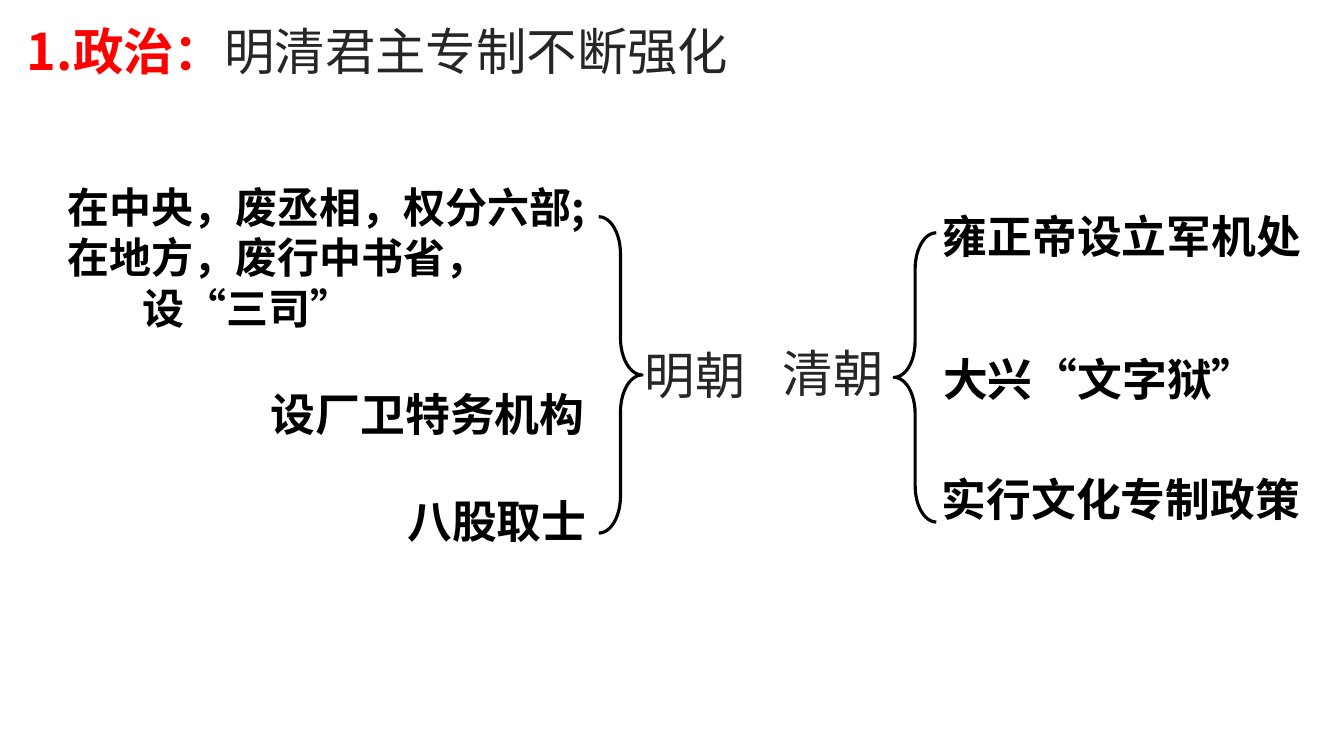
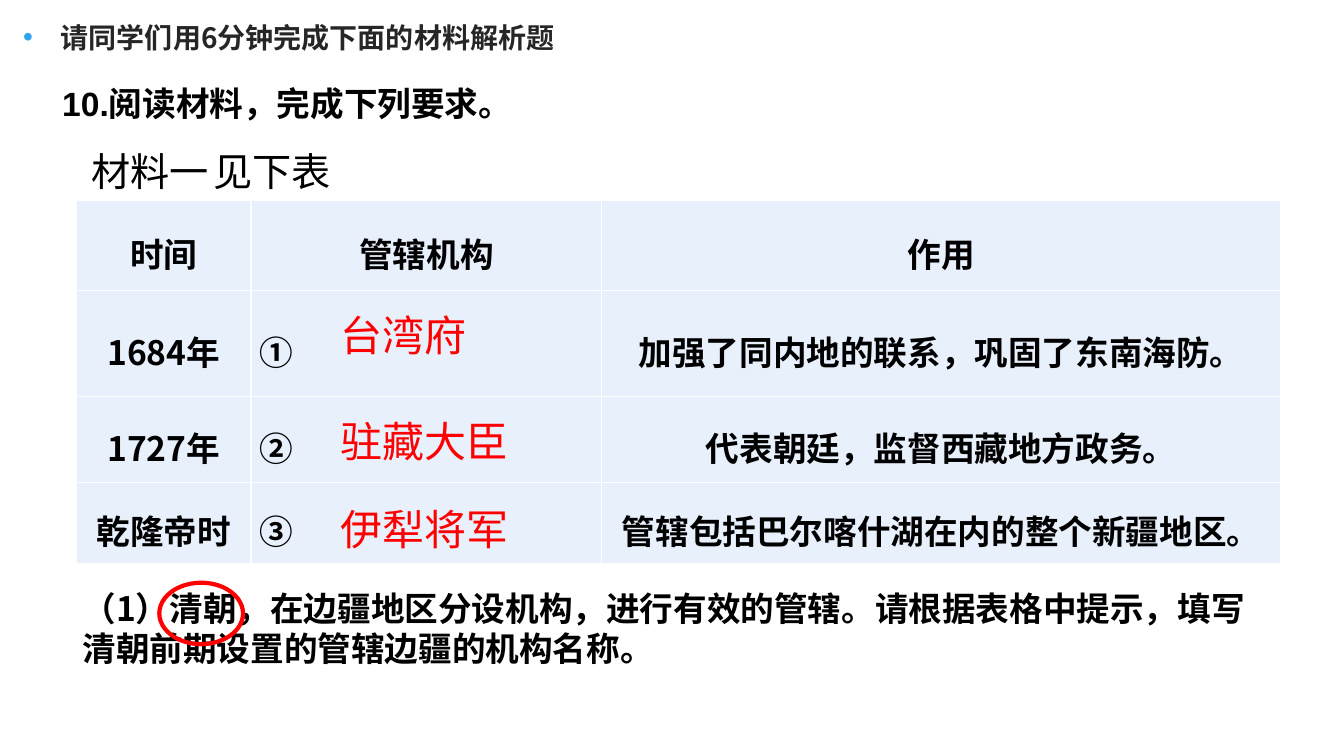
from lxml.etree import SubElement
from pptx import Presentation
from pptx.dml.color import RGBColor
from pptx.enum.shapes import MSO_SHAPE
from pptx.enum.text import MSO_ANCHOR, PP_ALIGN
from pptx.oxml.ns import qn
from pptx.util import Pt

COLORS = {
    "black": "000000",
    "dark": "262626",
    "red": "FF0000",
    "bullet": "2FA3EE",
    "cell": "E8F0FC",
    "border": "FFFFFF",
}
FONT = "Noto Sans CJK SC"


def add_span(para, text, size, color="black", bold=False, font=FONT):
    span = para.add_run()
    span.text = text
    span.font.size = Pt(size)
    span.font.bold = bold
    span.font.name = font
    span.font.color.rgb = RGBColor.from_string(COLORS[color])
    SubElement(span.font._element, qn("a:ea"), typeface=FONT)


def add_box(page, left, top, width, height, align=PP_ALIGN.LEFT):
    box = page.shapes.add_textbox(Pt(left), Pt(top), Pt(width), Pt(height))
    box.text_frame.word_wrap = True
    para = box.text_frame.paragraphs[0]
    para.alignment = align
    return para, box.text_frame


deck = Presentation()
deck.slide_width, deck.slide_height = Pt(960), Pt(540)
politics, exercise = [deck.slides.add_slide(deck.slide_layouts[6]) for _ in range(2)]

para, _ = add_box(politics, 12.2, 10.8, 546.5, 51)
add_span(para, "1.政治：", 36, "red", True)
add_span(para, "明清君主专制不断强化", 36, "dark")

for left, top, dynasty in [(453.6, 242.6, "明朝"), (552.2, 240.5, "清朝")]:
    para, _ = add_box(politics, left, top, 94, 51)
    add_span(para, dynasty, 36, "dark")

measures = [
    (622, 145.4, 314.7, "雍正帝设立军机处"),
    (581, 247.7, 324, "大兴“文字狱”"),
    (638.6, 333.4, 297.4, "实行文化专制政策"),
    (100.8, 272.9, 324, "设厂卫特务机构"),
    (154.8, 349.2, 271.4, "八股取士"),
]
for left, top, width, measure in measures:
    para, _ = add_box(politics, left, top, width, 46, PP_ALIGN.RIGHT)
    add_span(para, measure, 32, bold=True)

para, frame = add_box(politics, 41, 126, 378, 116.6)
add_span(para, "在中央，废丞相，权分六部;", 30, bold=True)
add_span(frame.add_paragraph(), "在地方，废行中书省，", 30, bold=True)
para = frame.add_paragraph()
para._p.get_or_add_pPr().set("marL", str(Pt(54)))
add_span(para, "设“三司”", 30, bold=True)

rows = [
    ("时间", "管辖机构", "作用"),
    ("1684年", "①", "加强了同内地的联系，巩固了东南海防。"),
    ("1727年", "②", "代表朝廷，监督西藏地方政务。"),
    ("乾隆帝时", "③", "管辖包括巴尔喀什湖在内的整个新疆地区。"),
]
widths = [124.6, 250.6, 484.6]
heights = [64.1, 75.6, 61.9, 57.6]
table = exercise.shapes.add_table(
    len(rows), len(widths), Pt(54.7), Pt(143.3), Pt(sum(widths)), Pt(sum(heights))
).table
for column, width in zip(table.columns, widths):
    column.width = Pt(width)
for row, height, texts in zip(table.rows, heights, rows):
    row.height = Pt(height)
    for cell, text in zip(row.cells, texts):
        cell.vertical_anchor = MSO_ANCHOR.MIDDLE
        cell.margin_left = cell.margin_right = Pt(5.76)
        cell.margin_top = cell.margin_bottom = 0
        for side in ("a:lnL", "a:lnR", "a:lnT", "a:lnB"):
            border = SubElement(cell._tc.get_or_add_tcPr(), qn(side), w=str(Pt(1)))
            fill = SubElement(border, qn("a:solidFill"))
            SubElement(fill, qn("a:srgbClr"), val=COLORS["border"])
        cell.fill.solid()
        cell.fill.fore_color.rgb = RGBColor.from_string(COLORS["cell"])
        para = cell.text_frame.paragraphs[0]
        para.alignment = PP_ALIGN.LEFT if text in "①②③" else PP_ALIGN.CENTER
        para.line_spacing = 1.3
        add_span(para, text, 24, bold=True)

para, _ = add_box(exercise, 37.4, 91.4, 233.3, 51)
para.line_spacing = 1.3
properties = para._p.get_or_add_pPr()
properties.set("indent", str(Pt(21)))
tabs = SubElement(properties, qn("a:tabLst"))
SubElement(tabs, qn("a:tab"), pos=str(Pt(117.5)), algn="l")
add_span(para, "材料一\t", 28)
add_span(para, "见下表", 28, font="Calibri")

para, _ = add_box(exercise, 51.8, 416.2, 865.4, 65.5)
question = "（1）清朝，在边疆地区分设机构，进行有效的管辖。请根据表格中提示，填写清朝前期设置的管辖边疆的机构名称。"
add_span(para, question, 24, bold=True)

for top, answer in [(221.8, "台湾府"), (297.4, "驻藏大臣"), (360, "伊犁将军")]:
    para, _ = add_box(exercise, 236.2, top, 148.3, 63.4)
    para.line_spacing = 0.9
    para.space_before = Pt(10)
    add_span(para, answer, 30, "red")

para, _ = add_box(exercise, 37.4, 55.4, 343.4, 36)
add_span(para, "10.阅读材料，完成下列要求。", 24, bold=True, font="Arial")

para, _ = add_box(exercise, 9.4, 10.8, 453.6, 57.6)
para.space_before = Pt(10)
properties = para._p.get_or_add_pPr()
properties.set("marL", str(Pt(27)))
properties.set("indent", str(-Pt(27)))
bullet_color = SubElement(properties, qn("a:buClr"))
SubElement(bullet_color, qn("a:srgbClr"), val=COLORS["bullet"])
SubElement(properties, qn("a:buFont"), typeface="Arial")
SubElement(properties, qn("a:buChar"), char="•")
add_span(para, "请同学们用6分钟完成下面的材料解析题", 20, "dark", True)

outlines = [
    (politics, MSO_SHAPE.LEFT_BRACE, (638.6, 166.3, 30.2, 206.6), 0, "black", 2.25),
    (politics, MSO_SHAPE.LEFT_BRACE, (427.7, 154.8, 31, 226), 180, "black", 2.25),
    (exercise, MSO_SHAPE.OVAL, (113.8, 416.2, 59.8, 43.9), 0, "red", 3),
]
for page, kind, place, rotation, color, weight in outlines:
    shape = page.shapes.add_shape(kind, *[Pt(length) for length in place])
    shape.rotation = rotation
    shape.shadow.inherit = False
    shape.fill.background()
    shape.line.color.rgb = RGBColor.from_string(COLORS[color])
    shape.line.width = Pt(weight)
    if kind == MSO_SHAPE.LEFT_BRACE:
        shape.adjustments[0] = 0.854

deck.save("out.pptx")
